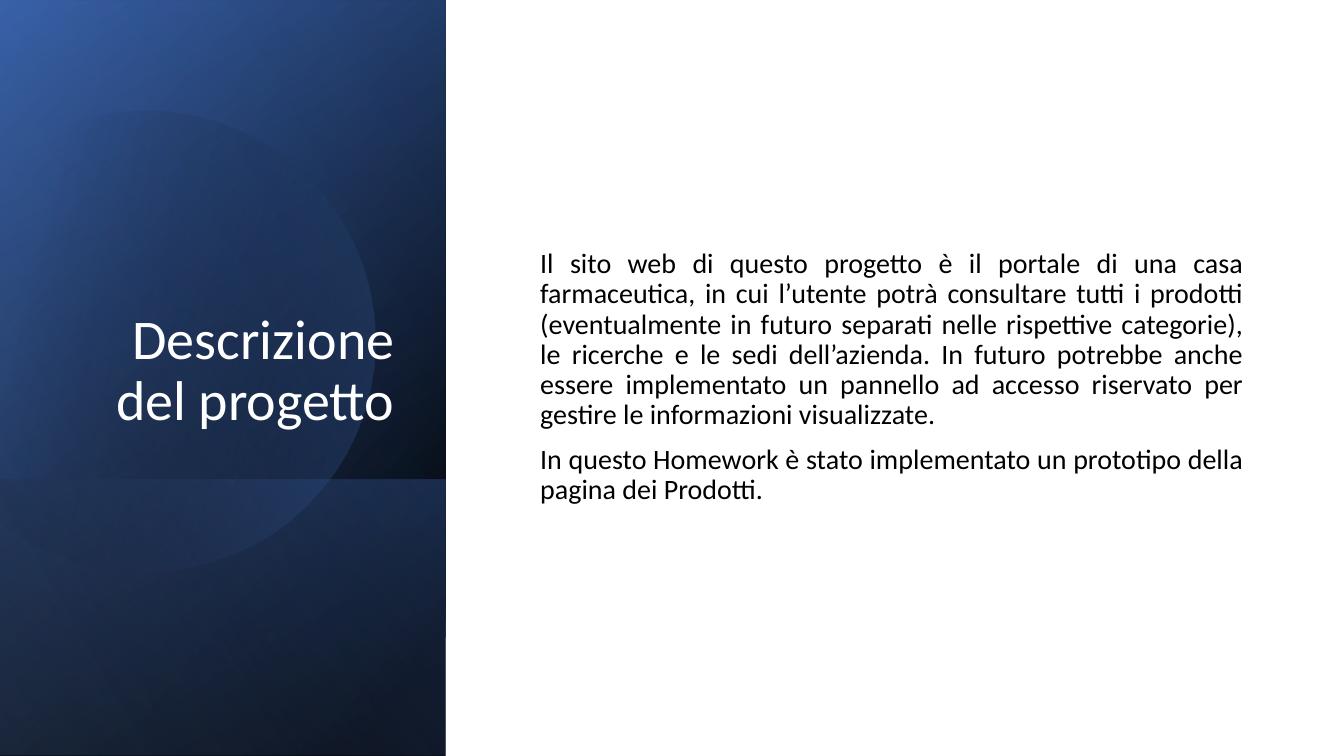
from math import cos, radians, sin

from pptx import Presentation
from pptx.dml.color import RGBColor
from pptx.enum.shapes import MSO_SHAPE as Shape
from pptx.enum.text import MSO_ANCHOR as Anchor, PP_ALIGN as Align
from pptx.oxml.ns import qn
from pptx.util import Inches, Pt
from lxml.etree import SubElement

WHITE = RGBColor(0xFF, 0xFF, 0xFF)
BLACK = RGBColor(0x00, 0x00, 0x00)
BLUE = RGBColor(0x44, 0x72, 0xC4)
DARK_BLUE = RGBColor(0x2F, 0x55, 0x97)
LIGHT_BLUE = RGBColor(0x8F, 0xAA, 0xDC)
FONT = "Calibri"

# Left panel: rectangles turned by 90 degrees, as (left, top, width, height),
# gradient angle and two stops of (position %, colour, opacity %)
PANEL_BASE = ((-1.54, 1.54, 7.5, 4.42), 50,
              [(8, BLACK, 100), (100, DARK_BLUE, 100)])
PANEL_GLOW = ((-1.54, 1.55, 7.5, 4.42), 30, [(0, BLACK, 0), (99, BLUE, 46)])
PANEL_FOOT = ((0.84, 3.92, 2.74, 4.42), 130, [(2, BLUE, 29), (100, BLACK, 30)])
PANEL_SHEEN = ((-1.54, 1.53, 7.5, 4.42), 120,
               [(0, BLACK, 0), (99, LIGHT_BLUE, 11)])

# Disc cut off by the left slide edge, as cubic curves on the slide
DISC_TOP = (1.49, 1.1)
DISC_RIGHT_CURVES = [
    [(2.46, 1.12), (3.35, 1.77), (3.63, 2.75)],
    [(3.98, 3.97), (3.28, 5.23), (2.07, 5.58)],
    [(1.31, 5.8), (0.53, 5.61), (-0.03, 5.14)],
]
DISC_LEFT_EDGE = [(-0.15, 5.03), (-0.15, 1.75), (0, 1.61)]
DISC_CLOSING_CURVES = [
    [(0.23, 1.42), (0.5, 1.28), (0.8, 1.19)],
    [(1.03, 1.13), (1.26, 1.1), DISC_TOP],
]
DISC_CENTRE = (1.585, 3.345)
DISC_TURN = 343.9
CURVE_STEPS = 16

TITLE = "Descrizione del progetto"
DESCRIPTION = [
    "Il sito web di questo progetto è il portale di una casa farmaceutica, "
    "in cui l’utente potrà consultare tutti i prodotti (eventualmente in "
    "futuro separati nelle rispettive categorie), le ricerche e le sedi "
    "dell’azienda. In futuro potrebbe anche essere implementato un pannello "
    "ad accesso riservato per gestire le informazioni visualizzate.",
    "In questo Homework è stato implementato un prototipo della pagina dei "
    "Prodotti.",
]


def fill_gradient(shape, angle, stops):
    """Fill with a two-stop linear gradient; the angle runs clockwise."""
    shape.shadow.inherit = False
    shape.line.fill.background()
    shape.fill.gradient()
    shape.fill.gradient_angle = 360 - angle
    for stop, (position, colour, _) in zip(shape.fill.gradient_stops, stops):
        stop.position = position / 100
        stop.color.rgb = colour
    colours = shape._element.spPr.iter(qn("a:srgbClr"))
    for colour, (_, _, opacity) in zip(colours, stops):
        if opacity < 100:
            SubElement(colour, qn("a:alpha"), val=str(opacity * 1000))


def add_panel_layer(slide, box, angle, stops):
    layer = slide.shapes.add_shape(Shape.RECTANGLE, *map(Inches, box))
    layer.rotation = 90
    layer._element.spPr.find(qn("a:xfrm")).set("flipH", "1")
    fill_gradient(layer, angle, stops)


def trace_curves(start, curves):
    """Points along a chain of cubic curves, without the start."""
    points = []
    for first, second, end in curves:
        for step in range(1, CURVE_STEPS + 1):
            t = step / CURVE_STEPS
            weights = ((1 - t) ** 3, 3 * t * (1 - t) ** 2,
                       3 * t ** 2 * (1 - t), t ** 3)
            corners = (start, first, second, end)
            points.append(tuple(
                sum(w * corner[axis] for w, corner in zip(weights, corners))
                for axis in (0, 1)))
        start = end
    return points


def turn_back(point):
    """Undo the disc's rotation, which the shape itself applies."""
    turn = radians(-DISC_TURN)
    x, y = point[0] - DISC_CENTRE[0], point[1] - DISC_CENTRE[1]
    return (Inches(DISC_CENTRE[0] + x * cos(turn) - y * sin(turn)),
            Inches(DISC_CENTRE[1] + x * sin(turn) + y * cos(turn)))


def add_disc(slide):
    outline = ([DISC_TOP] + trace_curves(DISC_TOP, DISC_RIGHT_CURVES)
               + DISC_LEFT_EDGE
               + trace_curves(DISC_LEFT_EDGE[-1], DISC_CLOSING_CURVES))
    start, *rest = map(turn_back, outline)
    builder = slide.shapes.build_freeform(*start)
    builder.add_line_segments(rest, close=True)
    disc = builder.convert_to_shape()
    disc.rotation = DISC_TURN
    fill_gradient(disc, 30, [(29, BLACK, 0), (100, BLUE, 43)])


def add_text(slide, box, paragraphs, *, size, colour, align, anchor, before=0):
    frame = slide.shapes.add_textbox(*map(Inches, box)).text_frame
    frame.word_wrap = True
    frame.vertical_anchor = anchor
    for index, text in enumerate(paragraphs):
        paragraph = frame.add_paragraph() if index else frame.paragraphs[0]
        paragraph.alignment = align
        paragraph.line_spacing = 0.9
        paragraph.space_before = Pt(before)
        run = paragraph.add_run()
        run.text = text
        run.font.name = FONT
        run.font.size = Pt(size)
        run.font.color.rgb = colour


def main():
    deck = Presentation()
    deck.slide_width, deck.slide_height = Inches(13.33), Inches(7.5)
    slide = deck.slides.add_slide(deck.slide_layouts[6])

    # White backdrop
    backdrop = slide.shapes.add_shape(
        Shape.RECTANGLE, 0, 0, deck.slide_width, deck.slide_height)
    backdrop.shadow.inherit = False
    backdrop.fill.solid()
    backdrop.fill.fore_color.rgb = WHITE
    backdrop.line.fill.background()

    # Blue panel with the disc
    for layer in (PANEL_BASE, PANEL_GLOW, PANEL_FOOT):
        add_panel_layer(slide, *layer)
    add_disc(slide)
    add_panel_layer(slide, *PANEL_SHEEN)

    # Title and description
    add_text(slide, (0.51, 0.64, 3.5, 3.7), [TITLE], size=40, colour=WHITE,
             align=Align.RIGHT, anchor=Anchor.BOTTOM)
    add_text(slide, (5.26, 0.71, 7.17, 6.07), DESCRIPTION, size=20,
             colour=BLACK, align=Align.JUSTIFY, anchor=Anchor.MIDDLE, before=10)

    deck.save("out.pptx")


if __name__ == "__main__":
    main()
